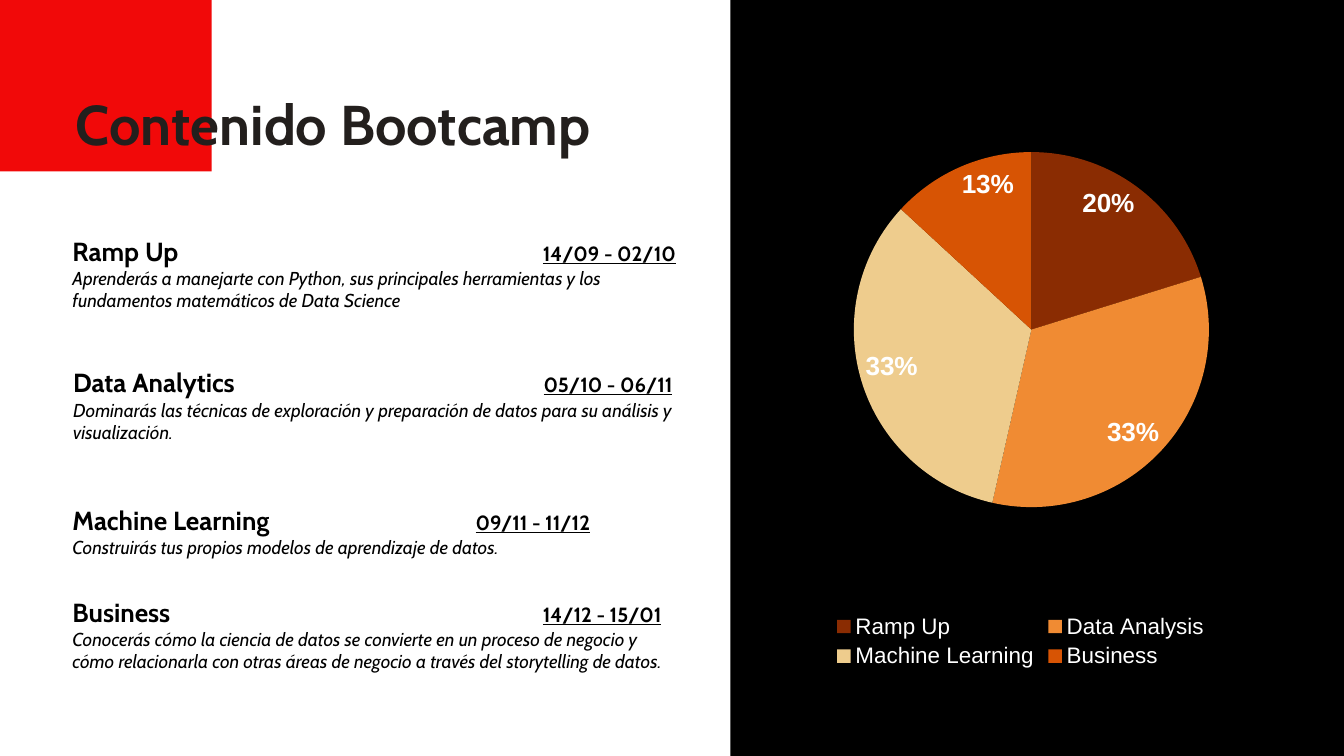
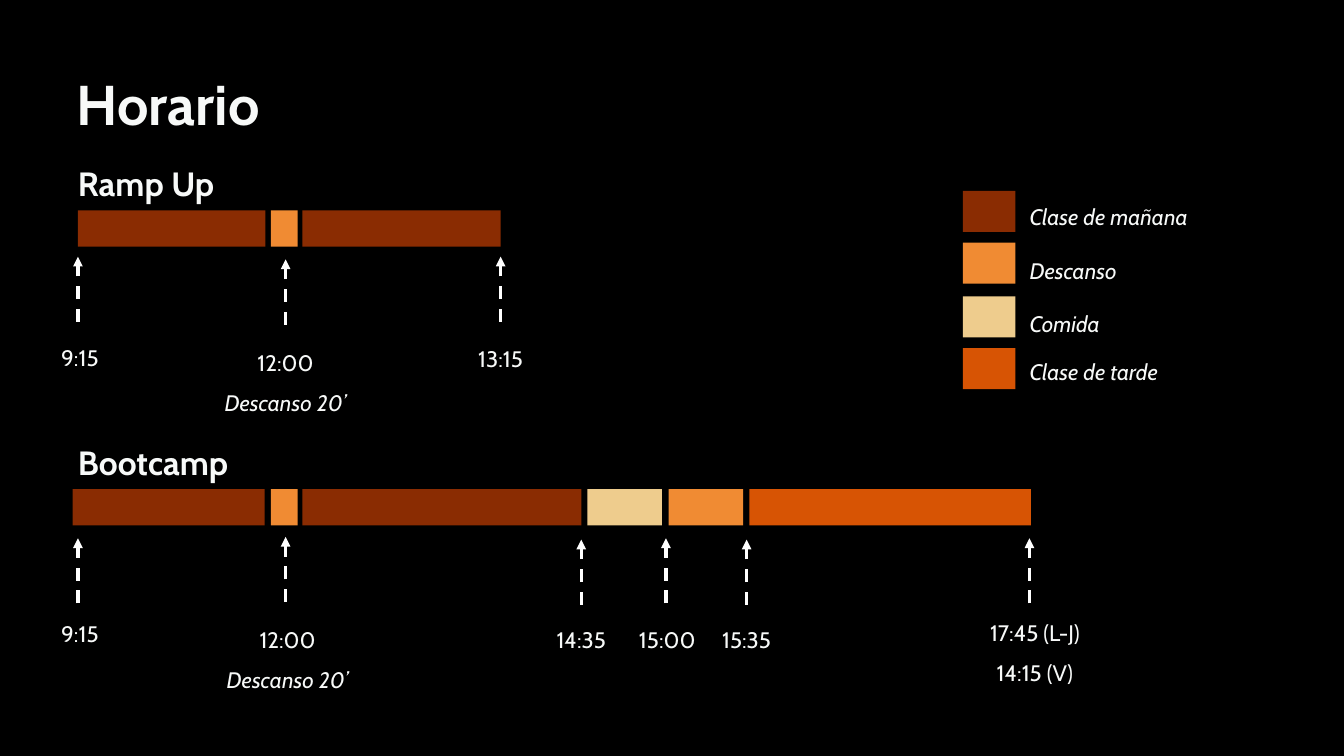
from lxml import etree
from pptx import Presentation
from pptx.chart.data import CategoryChartData
from pptx.dml.color import RGBColor
from pptx.enum.chart import XL_CHART_TYPE, XL_LABEL_POSITION, XL_LEGEND_POSITION
from pptx.enum.dml import MSO_LINE
from pptx.enum.shapes import MSO_CONNECTOR, MSO_SHAPE
from pptx.enum.text import MSO_ANCHOR, PP_ALIGN
from pptx.oxml import parse_xml
from pptx.oxml.ns import nsdecls, qn
from pptx.util import Inches, Pt

COLORS = {
    "black": "000000",
    "white": "FFFFFF",
    "red": "F10909",
    "ink": "231F1D",
    "light": "F7F9F8",
    "morning": "8A2C02",
    "break": "F08B33",
    "lunch": "EECC8D",
    "afternoon": "D75404",
}
FONT = "Cabin"
CHART_FONT = "Arial"
TITLE_ONLY = 5


def color(name):
    return RGBColor.from_string(COLORS[name])


class Deck:
    """Holds the shared style and the current slide."""

    def __init__(self):
        self.presentation = Presentation()
        self.presentation.slide_width = Inches(20)
        self.presentation.slide_height = Inches(11.25)
        self.slide = None

    def new_slide(self, background):
        layout = self.presentation.slide_layouts[TITLE_ONLY]
        self.slide = self.presentation.slides.add_slide(layout)
        fill = self.slide.background.fill
        fill.solid()
        fill.fore_color.rgb = color(background)

    def style(self, font, size, color_name, bold=False, italic=False, underline=False):
        font.name = FONT
        font.size = Pt(size)
        font.color.rgb = color(color_name)
        font.bold, font.italic, font.underline = bold, italic, underline

    def frame(self, shape, side=0, top=0):
        text_frame = shape.text_frame
        text_frame.word_wrap = True
        text_frame.vertical_anchor = MSO_ANCHOR.TOP
        text_frame.margin_left = text_frame.margin_right = Inches(side)
        text_frame.margin_top = text_frame.margin_bottom = Inches(top)
        return text_frame

    def title(self, text, left, top, width, height, color_name, spacing):
        shape = self.slide.shapes.title
        shape.left, shape.top = Inches(left), Inches(top)
        shape.width, shape.height = Inches(width), Inches(height)
        text_frame = self.frame(shape)
        text_frame.text = text
        paragraph = text_frame.paragraphs[0]
        paragraph.alignment = PP_ALIGN.LEFT
        paragraph.line_spacing = spacing
        self.style(paragraph.runs[0].font, 60, color_name, bold=True)
        # Bring the title in front of the shapes drawn so far
        shape.element.getparent().append(shape.element)

    def text_box(self, left, top, width, height):
        return self.slide.shapes.add_textbox(
            Inches(left), Inches(top), Inches(width), Inches(height))

    def text(self, lines, left, top, width, size=24, bold=False, align=PP_ALIGN.LEFT):
        """Write one paragraph for each (text, italic) pair."""
        height = size / 40 * len(lines)
        text_frame = self.frame(self.text_box(left, top, width, height))
        text_frame.text = "\n".join(line for line, _ in lines)
        for paragraph, (_, italic) in zip(text_frame.paragraphs, lines):
            paragraph.alignment = align
            paragraph.line_spacing = 1.5
            self.style(paragraph.runs[0].font, size, "light", bold, italic)

    def module(self, name, dates, summary, left, top, height, date_tab, tab_size):
        text_frame = self.frame(self.text_box(left, top, 9.2, height), 0.1, 0.05)
        heading = text_frame.paragraphs[0]
        tabs = etree.SubElement(heading._p.get_or_add_pPr(), qn("a:tabLst"))
        etree.SubElement(tabs, qn("a:tab"), pos=str(Inches(date_tab)), algn="l")
        for text, size, underline in ((name, 28, False), ("\t", tab_size, False),
                                      (dates, 22, True)):
            run = heading.add_run()
            run.text = text
            self.style(run.font, size, "black", bold=True, underline=underline)
        paragraph = text_frame.add_paragraph()
        paragraph.text = summary
        self.style(paragraph.runs[0].font, 20, "black", italic=True)

    def block(self, left, top, width, height, color_name):
        shape = self.slide.shapes.add_shape(
            MSO_SHAPE.RECTANGLE, Inches(left), Inches(top), Inches(width), Inches(height))
        shape.shadow.inherit = False
        shape.fill.solid()
        shape.fill.fore_color.rgb = color(color_name)
        shape.line.fill.background()

    def arrow_up(self, x, top):
        connector = self.slide.shapes.add_connector(
            MSO_CONNECTOR.STRAIGHT, Inches(x), Inches(top + 0.97), Inches(x), Inches(top))
        line = connector.line
        line.color.rgb = color("white")
        line.width = Pt(3.5)
        line.dash_style = MSO_LINE.DASH
        etree.SubElement(line._get_or_add_ln(), qn("a:tailEnd"), type="triangle")
        etree.SubElement(connector._element.spPr, qn("a:effectLst"))

    def pie(self, shares, left, top, width, height):
        """Draw a pie from (category, value, colour) rows."""
        data = CategoryChartData()
        data.categories = [category for category, _, _ in shares]
        data.add_series("Series 1", [value for _, value, _ in shares])
        chart = self.slide.shapes.add_chart(
            XL_CHART_TYPE.PIE, Inches(left), Inches(top), Inches(width), Inches(height),
            data).chart
        chart.has_title = False
        chart.font.name, chart.font.size = CHART_FONT, Pt(10)

        chart.has_legend = True
        chart.legend.position = XL_LEGEND_POSITION.BOTTOM
        chart.legend.include_in_layout = False
        self.chart_font(chart.legend.font, 24)

        plot = chart.plots[0]
        plot.vary_by_categories = True
        for index, (_, _, color_name) in enumerate(shares):
            fill = plot.series[0].points[index].format.fill
            fill.solid()
            fill.fore_color.rgb = color(color_name)

        plot.has_data_labels = True
        labels = plot.data_labels
        labels.show_percentage, labels.show_value = True, False
        labels.number_format, labels.number_format_is_linked = "0%", False
        labels.position = XL_LABEL_POSITION.INSIDE_END
        self.chart_font(labels.font, 28, bold=True)

        # Fixed inner plot area
        places = {"x": 0.181, "y": 0.133, "w": 0.68, "h": 0.687}
        values = "".join(f'<c:{key} val="{value}"/>' for key, value in places.items())
        layout = parse_xml(
            f'<c:layout {nsdecls("c")}><c:manualLayout><c:layoutTarget val="inner"/>'
            f'<c:xMode val="edge"/><c:yMode val="edge"/>{values}'
            '</c:manualLayout></c:layout>')
        plot_area = chart._chartSpace.chart.plotArea
        for old_layout in plot_area.findall(qn("c:layout")):
            plot_area.remove(old_layout)
        plot_area.insert(0, layout)

    def chart_font(self, font, size, bold=False):
        font.name, font.size, font.bold = CHART_FONT, Pt(size), bold
        font.color.rgb = color("white")


def build_contents(deck):
    deck.new_slide("white")
    deck.block(10.87, 0, 9.13, 11.25, "black")
    deck.block(0, 0, 3.15, 2.55, "red")
    deck.title("Contenido Bootcamp", 1.13, 1.13, 8.5, 1.2, "ink", 1.2)

    deck.pie([
        ("Ramp Up", 20, "morning"),
        ("Data Analysis", 33, "break"),
        ("Machine Learning", 33, "lunch"),
        ("Business", 13, "afternoon"),
    ], 11.3, 0.25, 7.77, 9.77)

    # Name, dates, summary, left, top, height, date tab, tab size
    modules = [
        ("Ramp Up", "14/09 - 02/10",
         "Aprenderás a manejarte con Python, sus principales herramientas y los "
         "fundamentos matemáticos de Data Science", 0.98, 3.45, 1.23, 7, 28),
        ("Data Analytics", "05/10 - 06/11",
         "Dominarás las técnicas de exploración y preparación de datos para su "
         "análisis y visualización.", 0.99, 5.35, 1.3, 7, 32),
        ("Machine Learning", "09/11 - 11/12",
         "Construirás tus propios modelos de aprendizaje de datos.",
         0.98, 7.46, 0.9, 6, 28),
        ("Business", "14/12 - 15/01",
         "Conocerás cómo la ciencia de datos se convierte en un proceso de negocio y "
         "cómo relacionarla con otras áreas de negocio a través del storytelling de "
         "datos.", 0.98, 8.82, 1.57, 7, 28),
    ]
    for module in modules:
        deck.module(*module)


def build_schedule(deck):
    deck.new_slide("black")
    deck.title("Horario", 1.14, 0.54, 3.96, 1.5, "light", 1.5)
    for name, top in (("Ramp Up", 2.13), ("Bootcamp", 6.28)):
        deck.text([(name, False)], 1.16, top, 3.44, size=36, bold=True)

    # Timeline bars: top, then left, width and colour of each block
    timelines = [
        (3.13, [(1.16, 2.79, "morning"), (4.03, 0.4, "break"), (4.5, 2.95, "morning")]),
        (7.28, [(1.08, 2.86, "morning"), (4.03, 0.4, "break"), (4.5, 4.15, "morning"),
                (8.74, 1.11, "lunch"), (9.95, 1.11, "break"),
                (11.15, 4.19, "afternoon")]),
    ]
    for top, blocks in timelines:
        for left, width, color_name in blocks:
            deck.block(left, top, width, 0.54, color_name)

    # Time marks: arrow x and top, label centre, top, width and lines
    rest = ("Descanso 20’", True)
    marks = [
        (1.16, 3.82, 1.19, 4.92, 1.84, [("9:15", False)]),
        (4.25, 3.86, 4.25, 4.99, 1.97, [("12:00", False), rest]),
        (7.45, 3.82, 7.45, 4.93, 1.84, [("13:15", False)]),
        (1.16, 8.01, 1.19, 9.03, 1.84, [("9:15", False)]),
        (4.25, 7.99, 4.28, 9.11, 2.05, [("12:00", False), rest]),
        (8.65, 8.03, 8.65, 9.12, 1.84, [("14:35", False)]),
        (9.91, 8.01, 9.93, 9.11, 1.84, [("15:00", False)]),
        (11.11, 8.03, 11.11, 9.11, 1.84, [("15:35", False)]),
        (15.32, 8.01, 15.4, 9.01, 2.8, [("17:45 (L-J)", False), ("14:15 (V)", False)]),
    ]
    for x, arrow_top, center, top, width, lines in marks:
        deck.arrow_up(x, arrow_top)
        deck.text(lines, center - width / 2, top, width, align=PP_ALIGN.CENTER)

    # Colour key
    key = [
        ("Clase de mañana", "morning", 2.84, 2.82),
        ("Descanso", "break", 3.61, 3.62),
        ("Comida", "lunch", 4.41, 4.41),
        ("Clase de tarde", "afternoon", 5.18, 5.13),
    ]
    for name, color_name, block_top, text_top in key:
        deck.block(14.33, block_top, 0.78, 0.61, color_name)
        deck.text([(name, True)], 15.32, text_top, 2.68)


def main():
    deck = Deck()
    build_contents(deck)
    build_schedule(deck)
    deck.presentation.save("out.pptx")


if __name__ == "__main__":
    main()
